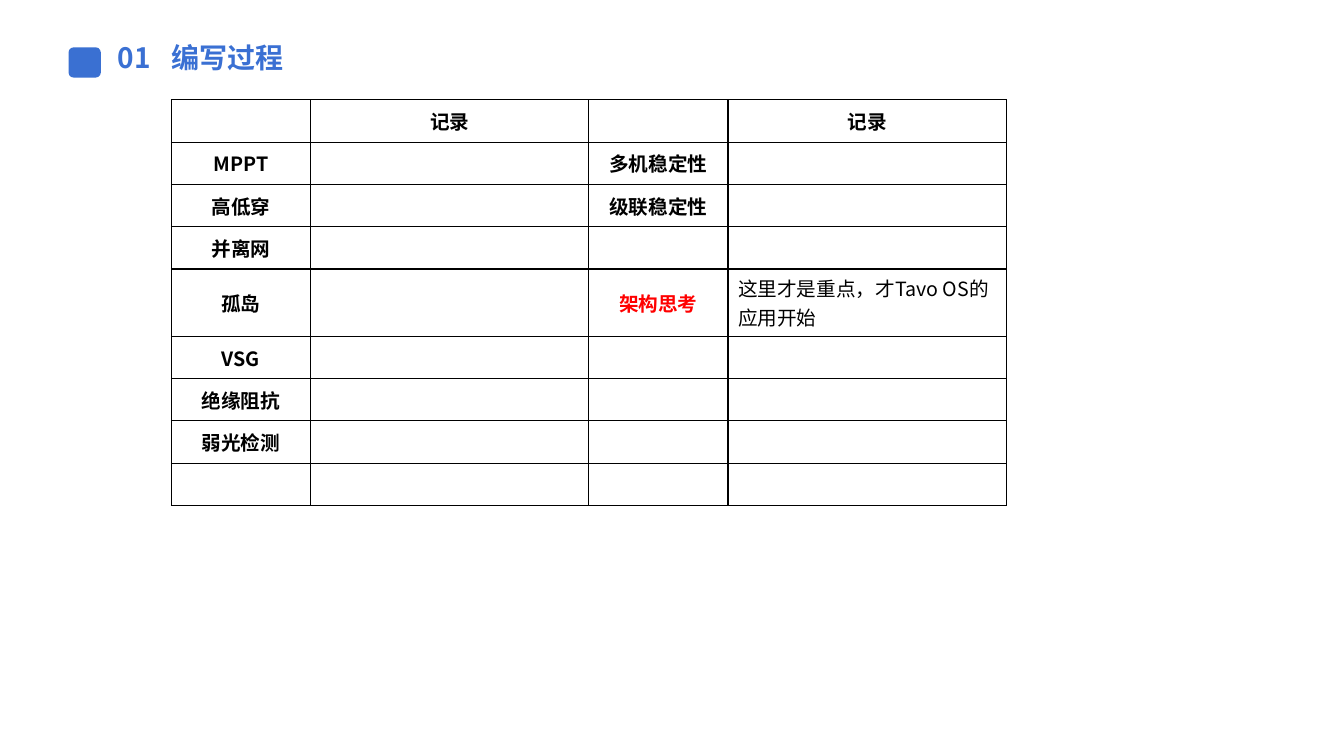
from lxml.etree import SubElement as Sub
from pptx import Presentation
from pptx.dml.color import RGBColor as Rgb
from pptx.enum.shapes import MSO_SHAPE as Kind
from pptx.enum.text import MSO_ANCHOR as Anchor, MSO_AUTO_SIZE as Fit, PP_ALIGN as Align
from pptx.oxml.ns import qn
from pptx.util import Inches as In, Pt

FONT = "Noto Sans CJK SC"
HUES = {"blue": "3A70D3", "mark": "3A70D2", "ink": "000000",
        "red": "FF0000", "paper": "FFFFFF"}
UNIT, ROW = 1.38, 0.42  # table grid in inches
SPANS = (1, 2, 1, 2)    # column widths in units
ROWS = [
    ("", "记录", "", "记录"),
    ("MPPT", "", "多机稳定性", ""),
    ("高低穿", "", "级联稳定性", ""),
    ("并离网", "", "", ""),
    ("孤岛", "", "架构思考", "这里才是重点，才Tavo OS的应用开始"),
    ("VSG", "", "", ""),
    ("绝缘阻抗", "", "", ""),
    ("弱光检测", "", "", ""),
    ("", "", "", ""),
]


def write(frame, text, size=14, hue="ink", bold=True, align=Align.CENTER):
    para = frame.paragraphs[0]
    para.alignment = align
    if not text:
        # An empty cell keeps the row height of its text size
        para._p.get_or_add_endParaRPr().set("sz", str(size * 100))
        return
    run = para.add_run()
    run.text = text
    font = run.font
    font.name, font.size, font.bold = FONT, Pt(size), bold
    font.color.rgb = Rgb.from_string(HUES[hue])
    Sub(run._r.get_or_add_rPr(), qn("a:ea")).set("typeface", FONT)


def head(box, text, left, width):
    box.left, box.top, box.width, box.height = In(left), In(0.4), In(width), In(0.42)
    frame = box.text_frame
    frame.auto_size, frame.word_wrap = Fit.NONE, True
    frame.vertical_anchor = Anchor.TOP
    frame.margin_top = frame.margin_bottom = 0
    write(frame, text, size=20, hue="blue", align=Align.LEFT)
    frame.paragraphs[0].space_before = Pt(0)


def mark(slide):
    box = slide.shapes.add_shape(Kind.ROUNDED_RECTANGLE, In(0.68), In(0.47), In(0.32), In(0.3))
    box.shadow.inherit = False
    box.fill.solid()
    box.fill.fore_color.rgb = Rgb.from_string(HUES["mark"])
    box.line.fill.background()


def edge(cell):
    props = cell._tc.get_or_add_tcPr()
    for at, side in enumerate(("lnL", "lnR", "lnT", "lnB")):
        line = Sub(props, qn("a:" + side), w=str(Pt(1)))
        props.insert(at, line)  # borders come before the fill
        fill = Sub(line, qn("a:solidFill"))
        Sub(fill, qn("a:srgbClr"), val=HUES["ink"])


def grid(slide):
    table = slide.shapes.add_table(len(ROWS), len(SPANS), In(1.7), In(0.99),
                                   In(UNIT * sum(SPANS)), In(ROW * len(ROWS))).table
    table.first_row = table.horz_banding = False
    for col, span in zip(table.columns, SPANS):
        col.width = In(UNIT * span)
    for r, texts in enumerate(ROWS):
        table.rows[r].height = In(ROW)
        for c, text in enumerate(texts):
            cell = table.cell(r, c)
            cell.vertical_anchor = Anchor.MIDDLE
            cell.fill.solid()
            cell.fill.fore_color.rgb = Rgb.from_string(HUES["paper"])
            edge(cell)
            note = r > 0 and SPANS[c] == 2  # body text of a wide column
            write(cell.text_frame, text, bold=not note,
                  hue="red" if text == "架构思考" else "ink",
                  align=Align.LEFT if note else Align.CENTER)


def main():
    deck = Presentation()
    deck.slide_width, deck.slide_height = In(13.33), In(7.5)
    slide = deck.slides.add_slide(deck.slide_layouts[5])
    # Heading
    mark(slide)
    head(slide.shapes.title, "编写过程", 1.6, 3.56)
    head(slide.shapes.add_textbox(0, 0, 0, 0), "01", 1.07, 0.63)
    # Record table
    grid(slide)
    deck.save("out.pptx")


if __name__ == "__main__":
    main()
